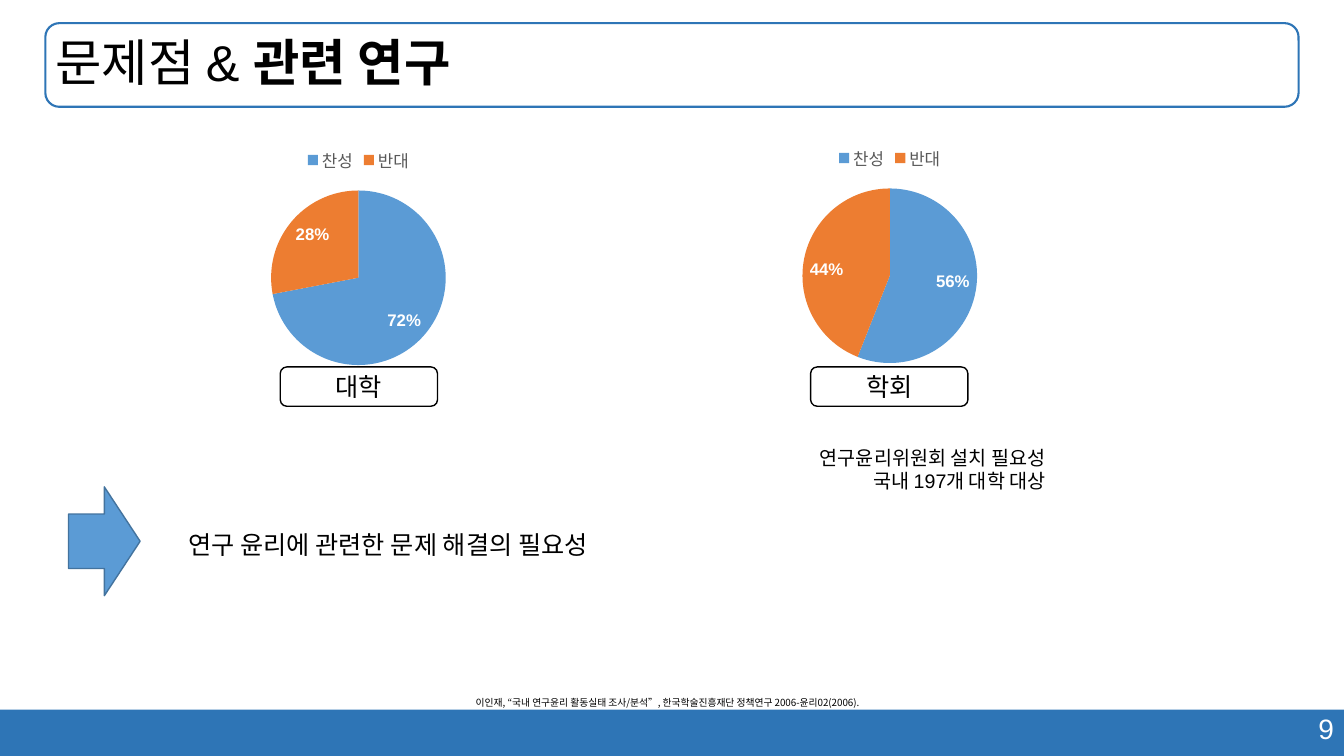
"""Build the slide on problems and related research with two survey pies."""
from pptx import Presentation
from pptx.chart.data import CategoryChartData
from pptx.dml.color import RGBColor
from pptx.enum.chart import XL_CHART_TYPE, XL_LABEL_POSITION, XL_LEGEND_POSITION
from pptx.enum.shapes import MSO_SHAPE
from pptx.enum.text import MSO_ANCHOR, PP_ALIGN
from pptx.util import Inches, Pt

COLORS = {
    "bar": "2E75B6", "blue": "5B9BD5", "orange": "ED7D31", "arrow": "43739E",
    "legend": "595959", "black": "000000", "white": "FFFFFF",
}


def add_box(kind, box, fill=None, line=None, width=1):
    sp = slide.shapes.add_shape(kind, *map(Inches, box))
    sp.shadow.inherit = False
    if fill:
        sp.fill.solid()
        sp.fill.fore_color.rgb = RGBColor.from_string(COLORS[fill])
    else:
        sp.fill.background()
    if line:
        sp.line.color.rgb = RGBColor.from_string(COLORS[line])
        sp.line.width = Pt(width)
    else:
        sp.line.fill.background()
    return sp


def set_text(sp, lines, size, align=PP_ALIGN.LEFT, color="black", name="Arial"):
    tf = sp.text_frame
    tf.word_wrap = True
    tf.text = "\n".join(lines)
    for p in tf.paragraphs:
        p.alignment = align
        p.font.size = Pt(size)
        p.font.name = name
        p.font.color.rgb = RGBColor.from_string(COLORS[color])
    return tf


prs = Presentation()
prs.slide_width, prs.slide_height = Inches(13.33), Inches(7.5)
slide = prs.slides.add_slide(prs.slide_layouts[5])

add_box(MSO_SHAPE.RECTANGLE, (0, 7.04, 13.33, 0.46), "bar")
title_box = (0.45, 0.23, 12.43, 0.83)
add_box(MSO_SHAPE.ROUNDED_RECTANGLE, title_box, line="bar", width=1.5)

title = slide.shapes.title
title.left, title.top, title.width, title.height = map(Inches, title_box)
tf = set_text(title, ["문제점 & "], 36)
tf.vertical_anchor = MSO_ANCHOR.MIDDLE
p = tf.paragraphs[0]
p.line_spacing = 0.9
r = p.add_run()
r.text = "관련 연구"
r.font.bold = True

texts = [
    ((9.43, 7.01, 3.9, 0.44), ["9"], 20, PP_ALIGN.RIGHT, "white", "Arial"),
    ((7.44, 4.37, 3.03, 0.57), ["연구윤리위원회 설치 필요성", "국내 197개 대학 대상"],
     14, PP_ALIGN.RIGHT, "black", "Arial"),
    ((1.77, 5.2, 7.56, 0.4), ["연구 윤리에 관련한 문제 해결의 필요성"],
     18, PP_ALIGN.LEFT, "black", "Arial"),
    ((4.62, 6.79, 10.12, 0.26),
     ["이인재, “국내 연구윤리 활동실태 조사/분석”, 한국학술진흥재단 정책연구 2006-윤리02(2006)."],
     7, PP_ALIGN.JUSTIFY, "black", "Noto Sans CJK KR"),
]
for box, lines, size, align, color, name in texts:
    tb = slide.shapes.add_textbox(*map(Inches, box))
    tf = set_text(tb, lines, size, align, color, name)
tf.paragraphs[0].line_spacing = 1.6

add_box(MSO_SHAPE.RIGHT_ARROW, (0.68, 4.83, 0.71, 1.08), "blue", "arrow")

surveys = [
    ("대학", (72, 28), 1.91, 1.35, 2.78),
    ("학회", (56, 44), 7.18, 1.33, 8.04),
]
for group, values, left, top, label_left in surveys:
    data = CategoryChartData()
    data.categories = ["찬성", "반대"]
    data.add_series("Series 1", values)
    chart = slide.shapes.add_chart(
        XL_CHART_TYPE.PIE, Inches(left), Inches(top), Inches(3.29), Inches(2.41), data
    ).chart
    chart.has_title = False
    chart.font.size = Pt(10)
    chart.font.name = "Arial"
    chart.font.color.rgb = RGBColor.from_string(COLORS["black"])
    chart.has_legend = True
    legend = chart.legend
    legend.position = XL_LEGEND_POSITION.TOP
    legend.include_in_layout = False
    plot = chart.plots[0]
    plot.vary_by_categories = True
    for i, color in enumerate(("blue", "orange")):
        fill = plot.series[0].points[i].format.fill
        fill.solid()
        fill.fore_color.rgb = RGBColor.from_string(COLORS[color])
    labels = plot.series[0].data_labels
    labels.show_percentage = True
    labels.show_value = False
    labels.number_format = "0%"
    labels.number_format_is_linked = False
    labels.position = XL_LABEL_POSITION.INSIDE_END
    labels.font.bold = True
    for font, color in ((legend.font, "legend"), (labels.font, "white")):
        font.size = Pt(12)
        font.name = "Arial"
        font.color.rgb = RGBColor.from_string(COLORS[color])

    sp = add_box(MSO_SHAPE.ROUNDED_RECTANGLE, (label_left, 3.64, 1.56, 0.39), "white", "black")
    set_text(sp, [group], 18, PP_ALIGN.CENTER).vertical_anchor = MSO_ANCHOR.MIDDLE

prs.save("out.pptx")
